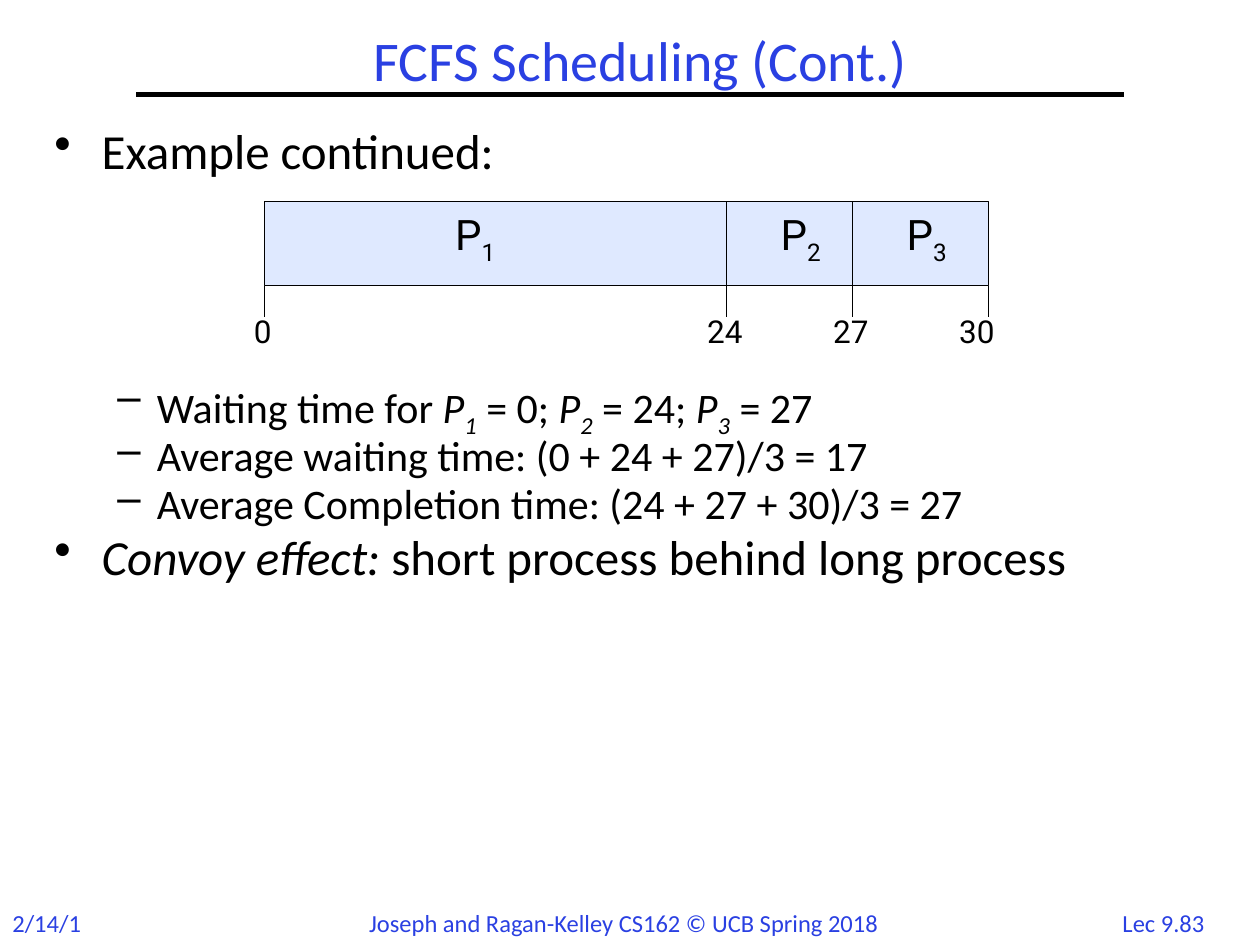
import pptx
import pptx.util
import pptx.dml.color
import pptx.enum.shapes
import pptx.enum.text
import lxml.etree
from dataclasses import dataclass

Pt = pptx.util.Pt
Align = pptx.enum.text.PP_ALIGN
Anchor = pptx.enum.text.MSO_ANCHOR


@dataclass(frozen=True)
class Theme:
    blue: str = "2A40E2"
    black: str = "000000"
    pale: str = "DFE9FF"
    font: str = "Calibri"
    mono: str = "Roboto"
    title: int = 32
    main: int = 28
    sub: int = 24
    tick: int = 18
    foot: int = 14


T = Theme()


def color(code):
    return pptx.dml.color.RGBColor.from_string(code)


def write(par, text, size=T.sub, font=T.font, ink=T.black, align=Align.LEFT,
          line=None, before=0, mark=None, left=0, hang=0):
    """Text is a string or a list of (words, style); i is italic, s subscript."""
    par.alignment = align
    par.space_before = Pt(before)
    if line:
        par.line_spacing = line
    for words, style in [(text, "")] if isinstance(text, str) else text:
        run = par.add_run()
        run.text = words
        run.font.size, run.font.name = Pt(size), font
        run.font.color.rgb = color(ink)
        run.font.italic = "i" in style
        if "s" in style:
            run.font._element.set("baseline", "-25000")
    if mark:
        props = par._p.get_or_add_pPr()
        props.set("marL", str(Pt(left)))
        props.set("indent", str(Pt(-hang)))
        bullet = lxml.etree.SubElement(props, pptx.oxml.ns.qn("a:buChar"))
        bullet.set("char", mark)


def frame(shapes, box, wrap=False, anchor=Anchor.TOP):
    area = shapes.add_textbox(*map(Pt, box)).text_frame
    area.word_wrap = wrap
    area.vertical_anchor = anchor
    return area


def label(shapes, box, text, wrap=False, anchor=Anchor.TOP, **form):
    write(frame(shapes, box, wrap, anchor).paragraphs[0], text, **form)


def rule(shapes, x1, y1, x2, y2, width=0.75):
    line = shapes.add_connector(pptx.enum.shapes.MSO_CONNECTOR.STRAIGHT,
                                Pt(x1), Pt(y1), Pt(x2), Pt(y2))
    line.line.color.rgb = color(T.black)
    line.line.width = Pt(width)
    lxml.etree.SubElement(line._element.spPr, pptx.oxml.ns.qn("a:effectLst"))


# Title with the rule under it
def head(shapes, box, text):
    x, y, w, h = box
    rule(shapes, x + 54, y + h, x + w - 65.5, y + h, 3)
    label(shapes, box, text, wrap=True, anchor=Anchor.MIDDLE, size=T.title,
          ink=T.blue, align=Align.CENTER, line=0.9)


# Footer: date, course, page
def foot(shapes, box):
    x, y, w, h = box
    parts = [(0, 57.6, "2/14/17", Align.LEFT),
             (203.8, 313.2, "Joseph and Ragan-Kelley CS162 © UCB Spring 2018", Align.LEFT),
             (w - 88.6, 67, "Lec 9.83", Align.CENTER)]
    for dx, wide, text, align in parts:
        label(shapes, (x + dx, y, wide, h), text, size=T.foot, ink=T.blue, align=align)


# Bulleted text, with room for the chart under the first line
def body(shapes, box, items):
    area = frame(shapes, box, wrap=True)
    levels = [dict(size=T.main, mark="•", left=27, hang=27),
              dict(size=T.sub, mark="–", left=58.5, hang=22.5)]
    for n, (level, text, line, before) in enumerate(items):
        par = area.add_paragraph() if n else area.paragraphs[0]
        write(par, text, line=line, before=before, **levels[level])


# Gantt chart: bar, dividers, ticks and labels
def gantt(shapes, box, stops, jobs):
    x, y, w, h = box
    group = shapes.add_group_shape().shapes
    bar = group.add_shape(pptx.enum.shapes.MSO_SHAPE.RECTANGLE, *map(Pt, box))
    bar.shadow.inherit = False
    bar.fill.solid()
    bar.fill.fore_color.rgb = color(T.pale)
    bar.line.color.rgb = color(T.black)
    bar.line.width = Pt(0.75)
    for dx, num in jobs:
        label(group, (x + dx, y + 2, 39.6, 36.7), [("P", ""), (num, "s")],
              anchor=Anchor.MIDDLE, font=T.mono)
    for dx, shift, time in stops:
        top = y if 0 < dx < w else y + h
        rule(group, x + dx, top, x + dx, y + h + 18)
        wide = 12.2 + 11.2 * len(time)
        label(group, (x + dx + shift, y + h + 11.5, wide, 28.8), time,
              anchor=Anchor.MIDDLE, size=T.tick, font=T.mono)


deck = pptx.Presentation()
deck.slide_width, deck.slide_height = Pt(720), Pt(540)
shapes = deck.slides.add_slide(deck.slide_layouts[6]).shapes

foot(shapes, (0, 515.5, 720, 24.5))
head(shapes, (24, 18, 684, 36), "FCFS Scheduling (Cont.)")
waits = [("Waiting time for ", "")]
for num, text in [("1", " = 0; "), ("2", " = 24; "), ("3", " = 27")]:
    waits += [("P", "i"), (num, "is"), (text, "")]
body(shapes, (24, 72, 684, 440), [
    (0, "Example continued:", 0.8, 0),
    (1, waits, 0.6, 124),
    (1, "Average waiting time: (0 + 24 + 27)/3 = 17", 0.8, 4.8),
    (1, "Average Completion time: (24 + 27 + 30)/3 = 27", 0.8, 4.8),
    (0, [("Convoy effect:", "i"), (" short process behind long process", "")], 0.8, 5.6)])
gantt(shapes, (151, 115.2, 414, 48),
      [(0, -13, "0"), (264, -18, "24"), (336, -18, "27"), (414, -24, "30")],
      [(102, "1"), (288, "2"), (360, "3")])

deck.save("out.pptx")
